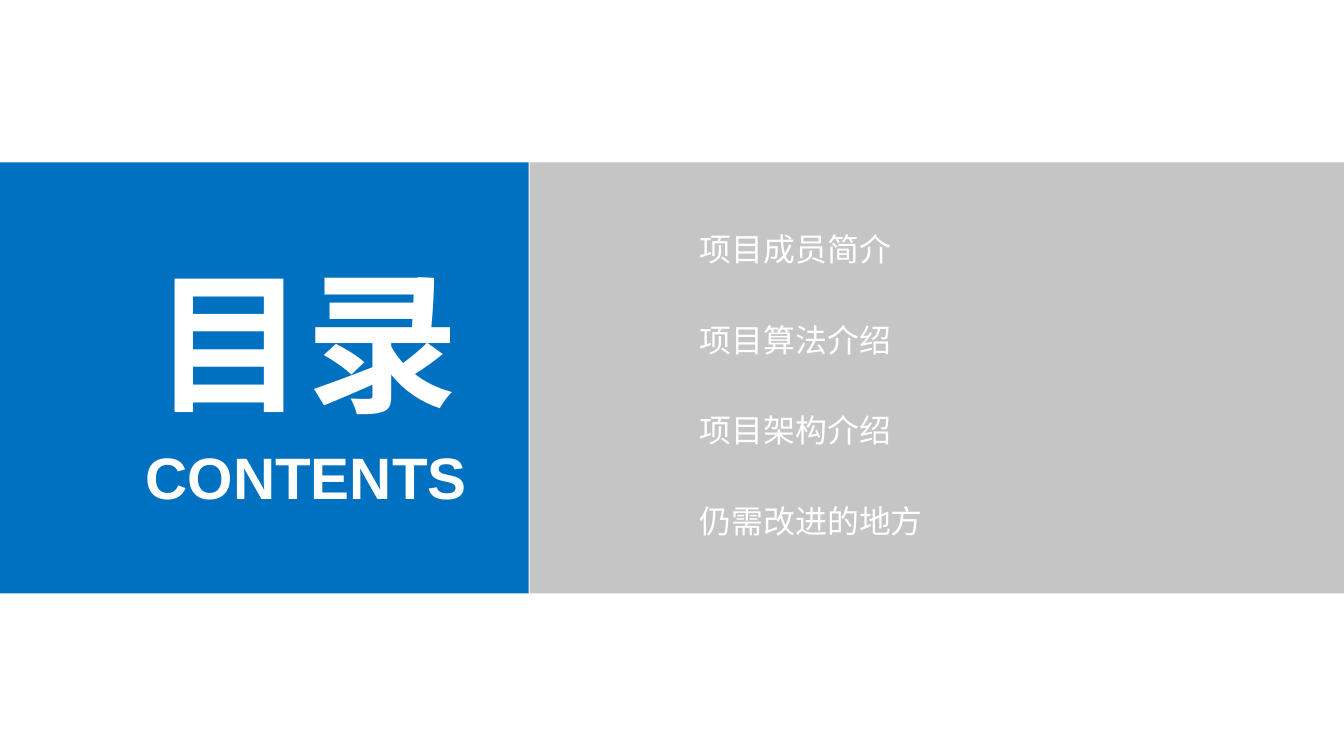
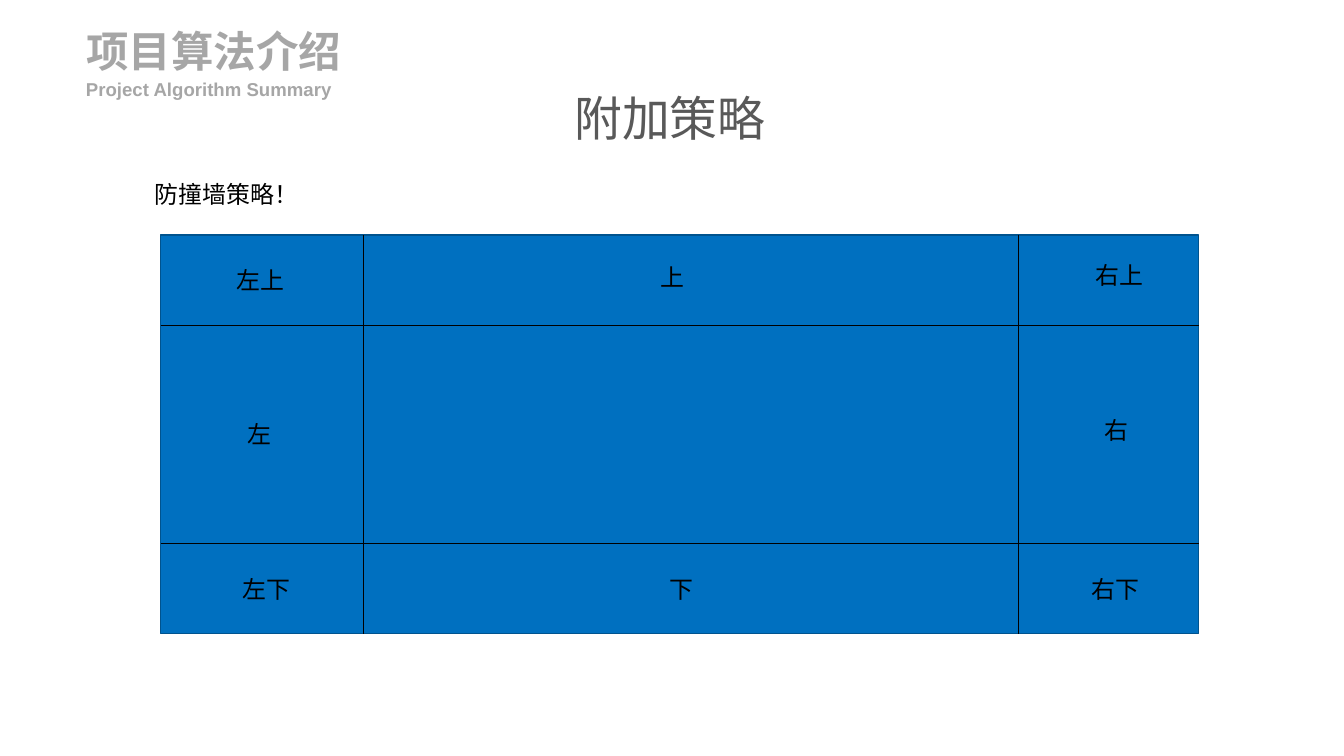
"""Build the contents slide and the wall-avoidance strategy slide."""
import pptx
import pptx.dml.color
import pptx.enum.shapes
import pptx.enum.text
import pptx.oxml
import pptx.oxml.ns
import pptx.util
from pptx.util import Inches

BLUE, WHITE, BLACK = "0070C0", "FFFFFF", "000000"
HEADING_GRAY, TOPIC_GRAY, BAND_GRAY = "A6A6A6", "595959", "BFBFBF"
LATIN, CHINESE = "Arial", "Noto Sans CJK SC"
LEFT, CENTER = pptx.enum.text.PP_ALIGN.LEFT, pptx.enum.text.PP_ALIGN.CENTER
TOP, MIDDLE = pptx.enum.text.MSO_ANCHOR.TOP, pptx.enum.text.MSO_ANCHOR.MIDDLE
RECTANGLE = pptx.enum.shapes.MSO_SHAPE.RECTANGLE
STRAIGHT = pptx.enum.shapes.MSO_CONNECTOR.STRAIGHT
NAMESPACE = pptx.oxml.ns.nsdecls("a")


def paint(color_format, color):
    color_format.rgb = pptx.dml.color.RGBColor.from_string(color)


def write(holder, text, size, color, font=LATIN, bold=False, align=LEFT,
          anchor=MIDDLE, inset=(0, 0)):
    frame = holder.text_frame
    frame.word_wrap = True
    frame.auto_size = pptx.enum.text.MSO_AUTO_SIZE.SHAPE_TO_FIT_TEXT
    frame.vertical_anchor = anchor
    frame.margin_left = frame.margin_right = Inches(inset[0])
    frame.margin_top = frame.margin_bottom = Inches(inset[1])
    paragraph = frame.paragraphs[0]
    paragraph.alignment = align
    run = paragraph.add_run()
    run.text = text
    run.font.size = pptx.util.Pt(size)
    run.font.bold = bold
    run.font.name = font
    paint(run.font.color, color)
    run.font.fill.solid()
    paint(run.font.color, color)
    latin = run._r.rPr.find(pptx.oxml.ns.qn("a:latin"))
    latin.addnext(pptx.oxml.parse_xml(f'<a:ea {NAMESPACE} typeface="{CHINESE}"/>'))


deck = pptx.Presentation()
deck.slide_width, deck.slide_height = Inches(14.06), Inches(7.91)
title_only = deck.slide_layouts[5]
contents = deck.slides.add_slide(title_only)
strategy = deck.slides.add_slide(title_only)

for left, width, color, opacity in [(5.54, 8.53, BAND_GRAY, 90), (0, 5.53, BLUE, 100)]:
    band = contents.shapes.add_shape(
        RECTANGLE, Inches(left), Inches(1.7), Inches(width), Inches(4.51))
    band.shadow.inherit = False
    band.line.fill.background()
    band.fill.solid()
    paint(band.fill.fore_color, color)
    if opacity < 100:
        tint = band.element.spPr.find(".//" + pptx.oxml.ns.qn("a:srgbClr"))
        tint.append(pptx.oxml.parse_xml(
            f'<a:alpha {NAMESPACE} val="{opacity * 1000}"/>'))

for slide, heading, box, size, color, align in [
        (contents, "目录", (1.52, 2.58, 3.37, 1.94), 115, WHITE, CENTER),
        (strategy, "项目算法介绍", (0.9, 0.26, 3.07, 0.54), 32, HEADING_GRAY, LEFT)]:
    title = slide.shapes.title
    title.left, title.top, title.width, title.height = [Inches(length) for length in box]
    title.element.getparent().append(title.element)
    write(title, heading, size, color, bold=True, align=align)

english_title = contents.shapes.add_textbox(
    Inches(1.4), Inches(4.62), Inches(3.61), Inches(0.74))
write(english_title, "CONTENTS", 44, WHITE, bold=True, align=CENTER, anchor=TOP)

chapter_left, chapter_width, chapter_height = Inches(7.32), Inches(2.7), Inches(0.4)
for index, chapter in enumerate(
        ["项目成员简介", "项目算法介绍", "项目架构介绍", "仍需改进的地方"]):
    chapter_top = Inches(2.4 + 0.95 * index)
    chapter_right, chapter_bottom = chapter_left + chapter_width, chapter_top + chapter_height
    outline = contents.shapes.build_freeform(chapter_left, chapter_top)
    outline.add_line_segments([
        (chapter_right, chapter_top), (chapter_right, chapter_bottom),
        (chapter_left, chapter_bottom)], close=True)
    entry = outline.convert_to_shape()
    entry.shadow.inherit = False
    entry.fill.background()
    entry.line.fill.background()
    write(entry, chapter, 24, WHITE)

subtitle = strategy.shapes.add_textbox(
    Inches(0.9), Inches(0.81), Inches(3.07), Inches(0.24))
write(subtitle, "Project Algorithm Summary", 14, HEADING_GRAY, bold=True)

field_left, field_top, field_width, field_height = 1.68, 2.46, 10.86, 4.17
field_right, field_bottom = field_left + field_width, field_top + field_height
field = strategy.shapes.add_shape(
    RECTANGLE, Inches(field_left), Inches(field_top),
    Inches(field_width), Inches(field_height))
field.shadow.inherit = False
field.fill.solid()
paint(field.fill.fore_color, BLUE)
paint(field.line.color, "00538E")
field.line.width = pptx.util.Pt(1)

dividers = [(x, field_top, x, field_bottom) for x in (3.8, 10.65)]
dividers += [(field_left, y, field_right, y) for y in (3.4, 5.69)]
for ends in dividers:
    divider = strategy.shapes.add_connector(STRAIGHT, *[Inches(end) for end in ends])
    paint(divider.line.color, BLACK)
    divider.line.width = pptx.util.Pt(0.5)
    divider.element.spPr.append(pptx.oxml.parse_xml(f'<a:effectLst {NAMESPACE}/>'))

for text, left, top, width, height, size, color in [
        ("附加策略", 5.91, 0.88, 2.24, 0.71, 36, TOPIC_GRAY),
        ("防撞墙策略！", 1.52, 1.83, 10.79, 0.4, 18, BLACK),
        ("左上", 2.38, 2.73, 0.71, 0.4, 18, BLACK),
        ("上", 6.81, 2.7, 0.45, 0.4, 18, BLACK),
        ("右上", 11.36, 2.68, 0.84, 0.4, 18, BLACK),
        ("左", 2.49, 4.34, 0.47, 0.4, 18, BLACK),
        ("右", 11.46, 4.3, 0.56, 0.4, 18, BLACK),
        ("左下", 2.44, 5.96, 0.74, 0.4, 18, BLACK),
        ("下", 6.91, 5.96, 0.45, 0.4, 18, BLACK),
        ("右下", 11.32, 5.96, 0.84, 0.4, 18, BLACK)]:
    label = strategy.shapes.add_textbox(
        Inches(left), Inches(top), Inches(width), Inches(height))
    write(label, text, size, color, font=CHINESE, anchor=TOP, inset=(0.1, 0.05))

deck.save("out.pptx")
